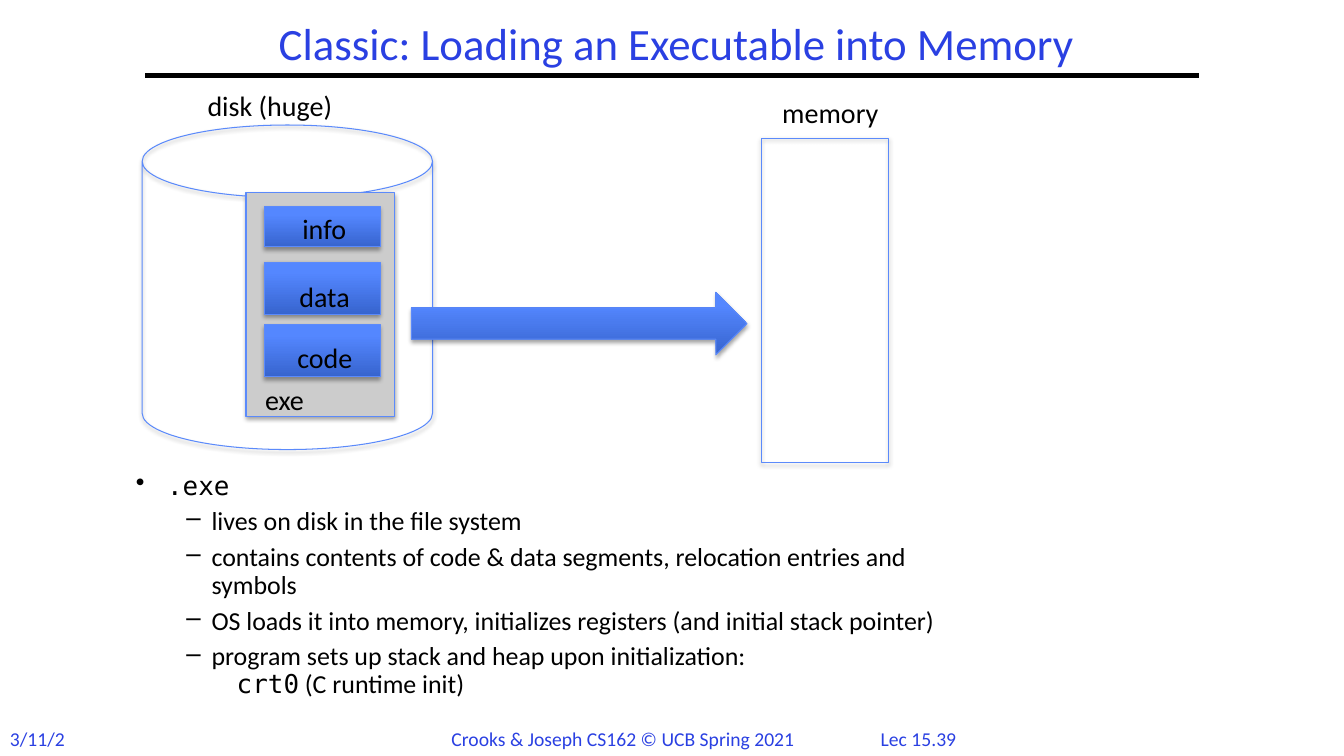
from lxml.etree import SubElement
from pptx import Presentation
from pptx.dml.color import RGBColor
from pptx.enum.shapes import MSO_CONNECTOR, MSO_SHAPE
from pptx.enum.text import MSO_ANCHOR, PP_ALIGN
from pptx.oxml import parse_xml
from pptx.oxml.ns import nsdecls, qn
from pptx.util import Pt

PX = 9144  # 100 px to the inch
BLUE, BLACK, OUTLINE = "2A40E2", "000000", "5B8AFB"
SANS, MONO = "Calibri", "DejaVu Sans Mono"
GRADIENT = [(0, "3764CE"), (0.8, "5487FF")]
rgb = RGBColor.from_string


def add_text(parent, words, left, top, width, height, size=20, color=BLACK, align=PP_ALIGN.LEFT):
    box = parent.add_textbox(left * PX, top * PX, width * PX, height * PX)
    box.text_frame.word_wrap = True
    para = box.text_frame.paragraphs[0]
    para.alignment = align
    span = para.add_run()
    span.text = words
    span.font.name, span.font.size, span.font.color.rgb = SANS, Pt(size), rgb(color)


def add_block(parent, preset, left, top, width, height, fill=None):
    """Add an outlined shape with a soft shadow; fill is None, a hex colour or a list of stops."""
    block = parent.add_shape(preset, left * PX, top * PX, width * PX, height * PX)
    block.line.color.rgb, block.line.width = rgb(OUTLINE), Pt(0.75)
    if fill is None:
        block.fill.background()
    elif isinstance(fill, str):
        block.fill.solid()
        block.fill.fore_color.rgb = rgb(fill)
    else:
        block.fill.gradient()
        block.fill.gradient_angle = 90
        for stop, (position, color) in zip(block.fill.gradient_stops, fill):
            stop.position, stop.color.rgb = position, rgb(color)
    block._element.spPr.append(parse_xml(
        f'<a:effectLst {nsdecls("a")}><a:outerShdw blurRad="{Pt(3.1)}" dist="{Pt(1.8)}" '
        'dir="5400000" rotWithShape="0"><a:srgbClr val="000000"><a:alpha val="35000"/>'
        '</a:srgbClr></a:outerShdw></a:effectLst>'))


deck = Presentation()
deck.slide_width, deck.slide_height = 1333 * PX, 750 * PX
page = deck.slides.add_slide(deck.slide_layouts[5])
shapes = page.shapes

# Title and rule
title = shapes.title
title.left, title.top, title.width, title.height = 225 * PX, 17 * PX, 892 * PX, 58 * PX
title.text_frame.vertical_anchor = MSO_ANCHOR.MIDDLE
para = title.text_frame.paragraphs[0]
para.alignment, para.line_spacing = PP_ALIGN.CENTER, 0.9
span = para.add_run()
span.text = "Classic: Loading an Executable into Memory"
span.font.name, span.font.size, span.font.color.rgb = SANS, Pt(32), rgb(BLUE)

rule = shapes.add_connector(MSO_CONNECTOR.STRAIGHT, 144 * PX, 75 * PX, 1189 * PX, 75 * PX)
rule.line.color.rgb, rule.line.width = rgb(BLACK), Pt(3)
SubElement(rule._element.spPr, qn("a:effectLst"))

# Footer
for words, left, width, align in [
    ("Lec 15.39", 850, 122, PP_ALIGN.CENTER),
    ("3/11/21", 0, 80, PP_ALIGN.LEFT),
    ("Crooks & Joseph CS162 © UCB Spring 2021", 438, 376, PP_ALIGN.LEFT),
]:
    add_text(shapes, words, left, 716, width, 34, 14, BLUE, align)

# Bullets: (level, runs), where "\n" breaks the line
bullets = [
    (0, [(".exe", MONO)]),
    (1, [("lives on disk in the file system", SANS)]),
    (1, [("contains contents of code & data segments, relocation entries and symbols", SANS)]),
    (1, [("OS loads it into memory, initializes registers (and initial stack pointer)", SANS)]),
    (1, [("program sets up stack and heap upon initialization:", SANS), ("\n", SANS),
         ("\t", SANS), ("crt0", MONO), (" (C runtime init)", SANS)]),
]
levels = [("•", 31, 31), ("–", 75, 25)]  # mark, margin, hanging indent
body = shapes.add_textbox(125 * PX, 464 * PX, 817 * PX, 247 * PX).text_frame
body.word_wrap = True
for index, (level, runs) in enumerate(bullets):
    para = body.add_paragraph() if index else body.paragraphs[0]
    mark, margin, hanging = levels[level]
    para.level, para.line_spacing = level, 0.9
    if index:
        para.space_before = Pt(5.5)
    properties = para._p.get_or_add_pPr()
    properties.set("marL", str(margin * PX))
    properties.set("indent", str(-hanging * PX))
    SubElement(properties, qn("a:buChar"), char=mark)
    for words, font in runs:
        if words == "\n":
            para.add_line_break()
            continue
        span = para.add_run()
        span.text = words
        span.font.name, span.font.size, span.font.color.rgb = font, Pt(18.5), rgb(BLACK)

# Disk and memory
add_block(shapes, MSO_SHAPE.CAN, 141, 124, 288, 322)
add_block(shapes, MSO_SHAPE.RECTANGLE, 755, 137, 126, 322)
add_text(shapes, "disk (huge)", 196, 83, 159, 44)
add_text(shapes, "memory", 766, 90, 121, 44)

# Executable file with its segments
exe = shapes.add_group_shape().shapes
add_block(exe, MSO_SHAPE.RECTANGLE, 244, 191, 147, 222, "CCCCCC")
for words, top, height, label_left, label_top, label_width in [
    ("code", 322, 52, 285, 333, 81),
    ("data", 260, 52, 287, 272, 75),
    ("info", 205, 40, 290, 205, 65),
]:
    add_block(exe, MSO_SHAPE.RECTANGLE, 262, top, 115, height, GRADIENT)
    add_text(exe, words, label_left, label_top, label_width, 44)
add_text(exe, "exe", 253, 375, 65, 44)

add_block(shapes, MSO_SHAPE.RIGHT_ARROW, 408, 290, 333, 62, GRADIENT)

deck.save("out.pptx")
